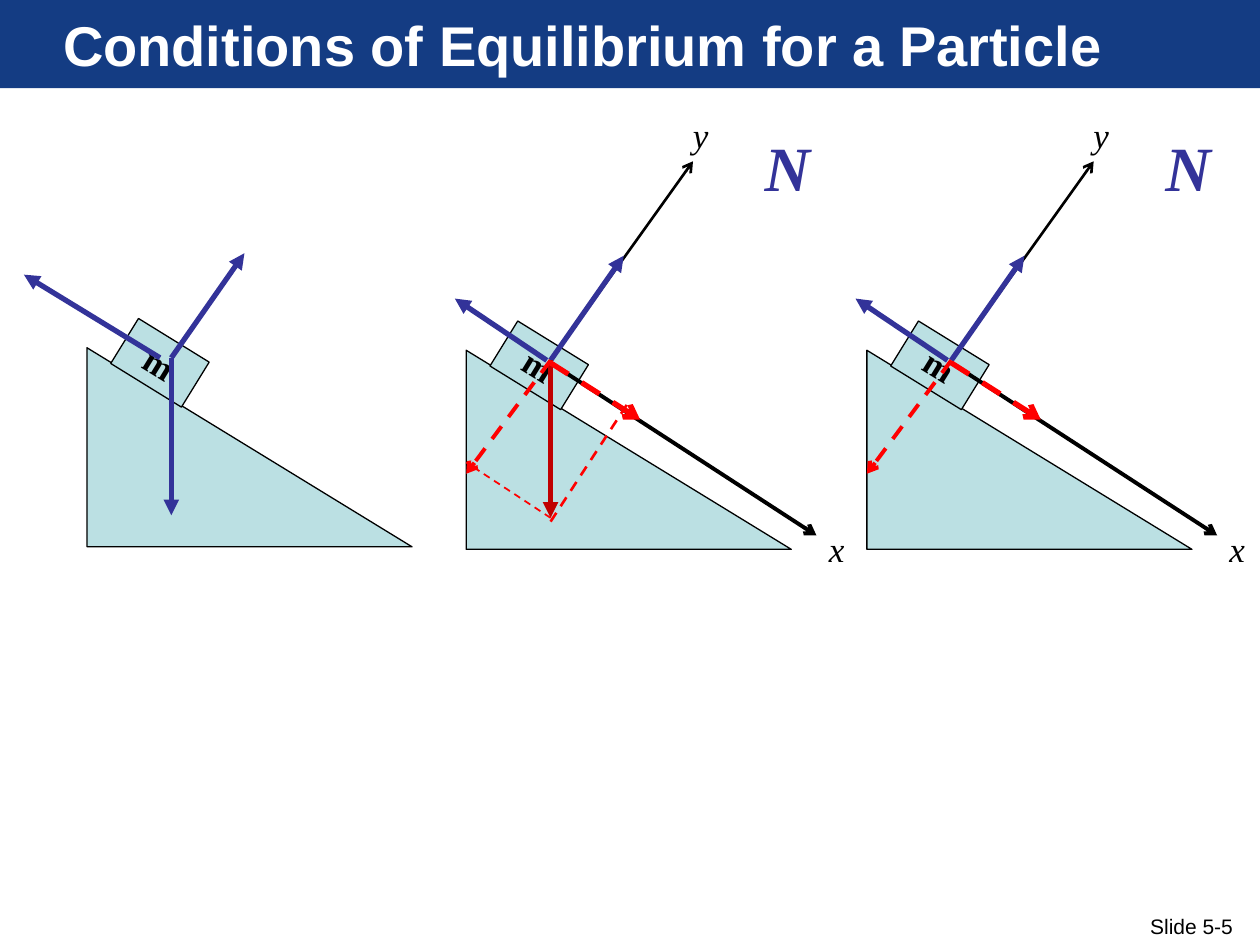
from dataclasses import dataclass

from lxml import etree
from pptx import Presentation
from pptx.dml.color import RGBColor
from pptx.enum.dml import MSO_LINE
from pptx.enum.shapes import MSO_CONNECTOR, MSO_SHAPE
from pptx.enum.text import MSO_ANCHOR, MSO_AUTO_SIZE, PP_ALIGN
from pptx.oxml.ns import qn
from pptx.util import Inches, Pt

STRAIGHT = MSO_CONNECTOR.STRAIGHT
RECT, WEDGE = MSO_SHAPE.RECTANGLE, MSO_SHAPE.RIGHT_TRIANGLE
DASH = MSO_LINE.DASH
LEFT, CENTER = PP_ALIGN.LEFT, PP_ALIGN.CENTER
MIDDLE = MSO_ANCHOR.MIDDLE
FIT_SHAPE, NO_FIT = MSO_AUTO_SIZE.SHAPE_TO_FIT_TEXT, MSO_AUTO_SIZE.NONE

Point = tuple[float, float]


@dataclass(frozen=True)
class Theme:
    banner: str = "143C83"
    white: str = "FFFFFF"
    black: str = "000000"
    body: str = "BBE0E3"
    force: str = "333399"
    weight: str = "C00000"
    component: str = "FF0000"
    sans: str = "Arial"
    serif: str = "Times New Roman"
    title_size: float = 32
    force_size: float = 36
    label_size: float = 20
    footer_size: float = 12
    outline: float = 0.75


THEME = Theme()


@dataclass(frozen=True)
class Segment:
    """A line, with ends relative to the top corner of the wedge."""
    start: Point
    end: Point
    color: str
    width: float
    head: str = ""
    dashed: bool = False


@dataclass(frozen=True)
class Label:
    """A text, placed relative to the top corner of the wedge."""
    text: str
    at: Point
    size: Point
    font: dict


@dataclass(frozen=True)
class Diagram:
    origin: Point
    behind: list[Segment]
    front: list[Segment]
    labels: list[Label]


def text_format(size: float, color: str, name: str = THEME.serif,
                bold: bool = False, italic: bool = False) -> dict:
    return {"name": name, "size": Pt(size), "bold": bold, "italic": italic,
            "color": color}


def write(tf, text: str, fmt: dict, align=LEFT) -> None:
    p = tf.paragraphs[0]
    p.alignment = align
    r = p.add_run()
    r.text = text
    for key, value in fmt.items():
        if key == "color":
            r.font.color.rgb = RGBColor.from_string(value)
        else:
            setattr(r.font, key, value)


def add_text(s, text: str, at: Point, size: Point, fmt: dict) -> None:
    tf = s.shapes.add_textbox(*map(Inches, at + size)).text_frame
    tf.word_wrap = False
    tf.auto_size = FIT_SHAPE
    write(tf, text, fmt)


def add_body(s, kind, at: Point, size: Point, rotation: float = 0):
    sp = s.shapes.add_shape(kind, *map(Inches, at + size))
    sp.rotation = rotation
    sp.shadow.inherit = False
    sp.fill.solid()
    sp.fill.fore_color.rgb = RGBColor.from_string(THEME.body)
    sp.line.color.rgb = RGBColor.from_string(THEME.black)
    sp.line.width = Pt(THEME.outline)
    return sp


def shift(origin: Point, offset: Point) -> Point:
    return origin[0] + offset[0], origin[1] + offset[1]


def add_segment(s, origin: Point, seg: Segment) -> None:
    ends = shift(origin, seg.start) + shift(origin, seg.end)
    line = s.shapes.add_connector(STRAIGHT, *map(Inches, ends))
    line.line.color.rgb = RGBColor.from_string(seg.color)
    line.line.width = Pt(seg.width)
    if seg.dashed:
        line.line.dash_style = DASH
    if seg.head:
        etree.SubElement(line.line._get_or_add_ln(), qn("a:tailEnd"), type=seg.head)
    etree.SubElement(line._element.spPr, qn("a:effectLst"))


def add_diagram(s, d: Diagram) -> None:
    for seg in d.behind:
        add_segment(s, d.origin, seg)

    # Incline and block
    add_body(s, WEDGE, d.origin, (2.58, 1.58))
    block = add_body(s, RECT, shift(d.origin, (0.25, -0.09)), (0.66, 0.42), 31.7)
    tf = block.text_frame
    tf.word_wrap = False
    tf.vertical_anchor = MIDDLE
    write(tf, "m", text_format(THEME.label_size, THEME.black, bold=True), CENTER)

    for seg in d.front:
        add_segment(s, d.origin, seg)
    for label in d.labels:
        add_text(s, label.text, shift(d.origin, label.at), label.size, label.font)


def add_title(s, text: str) -> None:
    title = s.shapes.title
    title.left, title.top, title.width, title.height = map(Inches, (0, 0, 10, 0.7))
    title.fill.solid()
    title.fill.fore_color.rgb = RGBColor.from_string(THEME.banner)
    tf = title.text_frame
    frame = {"margin_left": Inches(0.5), "margin_right": Inches(0.1),
             "margin_top": Inches(0.05), "margin_bottom": Inches(0.05),
             "vertical_anchor": MIDDLE, "word_wrap": True, "auto_size": NO_FIT}
    for key, value in frame.items():
        setattr(tf, key, value)
    write(tf, text, text_format(THEME.title_size, THEME.white, THEME.sans, bold=True))


# Forces and axes shared by the diagrams
CENTRE = (0.67, 0.08)
AXIS_START = (0.67, 0.1)
WEIGHT_END = (0.67, 1.33)
Y_AXIS = Segment(CENTRE, (1.8, -1.5), THEME.black, 1.5, "arrow")
X_AXIS = Segment(AXIS_START, (2.78, 1.47), THEME.black, 2.25, "arrow")
NORMAL = Segment(CENTRE, (1.25, -0.75), THEME.force, 3, "triangle")
FRICTION = Segment((0.64, 0.08), (-0.09, -0.41), THEME.force, 3, "triangle")
LONG_FRICTION = Segment((0.58, 0.08), (-0.5, -0.58), THEME.force, 3, "triangle")
PLAIN_WEIGHT = Segment(CENTRE, WEIGHT_END, THEME.force, 3, "triangle")
WEIGHT = Segment(CENTRE, WEIGHT_END, THEME.weight, 3, "triangle")
WEIGHT_X = Segment(AXIS_START, (1.38, 0.55), THEME.component, 3, "arrow", True)
WEIGHT_Y = Segment(CENTRE, (0, 0.98), THEME.component, 2.25, "arrow", True)
GUIDE_X = Segment((0.67, 1.36), (1.29, 0.41), THEME.component, 1.5, dashed=True)
GUIDE_Y = Segment(WEIGHT_END, (0, 0.89), THEME.component, 1, dashed=True)

AXIS_FONT = text_format(THEME.label_size, THEME.black, italic=True)
FORCE_FONT = text_format(THEME.force_size, THEME.force, bold=True, italic=True)
LABELS = [Label("N", (2.27, -1.81), (0.57, 0.71), FORCE_FONT),
          Label("y", (1.7, -1.93), (0.33, 0.44), AXIS_FONT),
          Label("x", (2.78, 1.36), (0.33, 0.44), AXIS_FONT)]

DIAGRAMS = [
    Diagram((3.7, 2.78), [Y_AXIS],
            [NORMAL, WEIGHT, FRICTION, X_AXIS, WEIGHT_X, GUIDE_X, WEIGHT_Y, GUIDE_Y],
            LABELS),
    Diagram((0.69, 2.76), [], [NORMAL, PLAIN_WEIGHT, LONG_FRICTION], []),
    Diagram((6.88, 2.78), [Y_AXIS],
            [NORMAL, FRICTION, X_AXIS, WEIGHT_X, WEIGHT_Y], LABELS),
]


def main() -> None:
    prs = Presentation()
    prs.slide_width, prs.slide_height = Inches(10), Inches(7.5)
    s = prs.slides.add_slide(prs.slide_layouts[5])

    # Banner and slide number
    add_title(s, "Conditions of Equilibrium for a Particle")
    add_text(s, "Slide 5-5", (9.03, 7.2), (0.97, 0.3),
             text_format(THEME.footer_size, THEME.black, THEME.sans))

    # Free-body diagrams
    for diagram in DIAGRAMS:
        add_diagram(s, diagram)
    prs.save("out.pptx")


if __name__ == "__main__":
    main()
